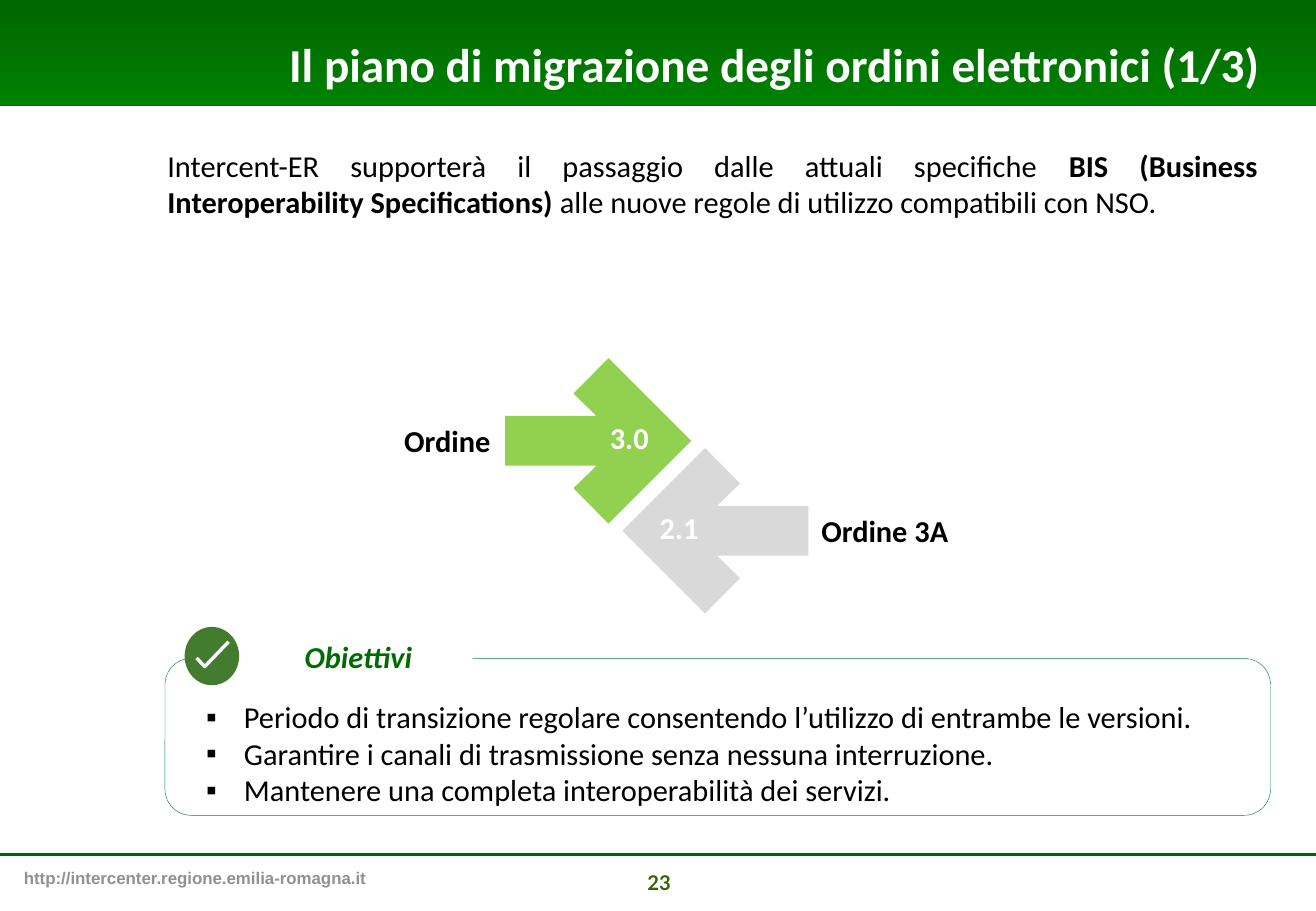
from dataclasses import dataclass

from lxml import etree
from pptx import Presentation
from pptx.dml.color import RGBColor
from pptx.enum.shapes import MSO_CONNECTOR, MSO_SHAPE
from pptx.enum.text import PP_ALIGN
from pptx.oxml.ns import qn
from pptx.util import Cm, Pt

LEFT, CENTER, RIGHT, JUSTIFY = PP_ALIGN.LEFT, PP_ALIGN.CENTER, PP_ALIGN.RIGHT, PP_ALIGN.JUSTIFY
RECTANGLE, ROUNDED, OVAL = MSO_SHAPE.RECTANGLE, MSO_SHAPE.ROUNDED_RECTANGLE, MSO_SHAPE.OVAL
STRAIGHT = MSO_CONNECTOR.STRAIGHT


@dataclass(frozen=True)
class Theme:
    font: str = "Calibri"
    footer_font: str = "Arial"
    number_font: str = "Lato"
    title_size: float = 28
    body_size: float = 18
    number_size: float = 12
    footer_size: float = 10
    white: str = "FFFFFF"
    black: str = "000000"
    dark_green: str = "006600"
    band_green: str = "008000"
    number_green: str = "336600"
    heading_green: str = "006B00"
    badge_green: str = "437B2F"
    frame_green: str = "027E46"
    lime: str = "92D050"
    silver: str = "D9D9D9"
    gray: str = "919191"


THEME = Theme()

# Content (lengths in centimetres)
PAGE_WIDTH, PAGE_HEIGHT = 27.51, 19.05
TITLE = "Il piano di migrazione degli ordini elettronici (1/3)"
INTRO = [
    ("Intercent-ER supporterà il passaggio dalle attuali specifiche ", False),
    ("BIS (Business Interoperability Specifications)", True),
    (" alle nuove regole di utilizzo compatibili con NSO.", False),
]
HEADING = "Obiettivi"
GOALS = [
    "Periodo di transizione regolare consentendo l’utilizzo di entrambe le versioni.",
    "Garantire i canali di trasmissione senza nessuna interruzione.",
    "Mantenere una completa interoperabilità dei servizi.",
]
FOOTER = "http://intercenter.regione.emilia-romagna.it"
PAGE_NUMBER = "23"

# Arrows: tip, pointing direction, colour
ARROWS = [((14.45, 9.22), 1, THEME.lime), ((13.01, 11.1), -1, THEME.silver)]
# Upper half of an arrow, as distances behind the tip and from its axis
HALF_ARROW = [(1.73, 1.73), (2.46, 0.99), (1.98, 0.52), (3.89, 0.52)]
ARROW_LABELS = [
    ("2.1", (13.54, 10.52, 1.42, 1.02), THEME.white),
    ("Ordine", (8.2, 8.71, 2.84, 1.02), THEME.black),
    ("3.0", (12.5, 8.64, 1.63, 1.02), THEME.white),
    ("Ordine 3A", (16.92, 10.59, 5.61, 1.02), THEME.black),
]
CHECK_MARK = [(4.11, 13.76), (4.28, 13.94), (4.78, 13.42)]

deck = Presentation()
deck.slide_width, deck.slide_height = Cm(PAGE_WIDTH), Cm(PAGE_HEIGHT)
page = deck.slides.add_slide(deck.slide_layouts[6])


def color(code):
    return RGBColor.from_string(code)


def paint(shape, fill=None, line=None, width=0.75):
    shape.shadow.inherit = False
    if fill:
        shape.fill.solid()
        shape.fill.fore_color.rgb = color(fill)
    else:
        shape.fill.background()
    if line:
        shape.line.color.rgb = color(line)
        shape.line.width = Pt(width)
    else:
        shape.line.fill.background()
    return shape


def add_block(kind, bounds, **style):
    return paint(page.shapes.add_shape(kind, *map(Cm, bounds)), **style)


def add_outline(points, closed, **style):
    corners = [(Cm(x), Cm(y)) for x, y in points]
    builder = page.shapes.build_freeform(*corners[0])
    builder.add_line_segments(corners[1:], close=closed)
    return paint(builder.convert_to_shape(), **style)


def add_span(para, text, ink=THEME.black, size=THEME.body_size, font=THEME.font,
             bold=False, italic=False):
    span = para.add_run()
    span.text = text
    span.font.name, span.font.size = font, Pt(size)
    span.font.bold, span.font.italic = bold, italic
    span.font.color.rgb = color(ink)


def add_box(bounds, align=LEFT):
    box = page.shapes.add_textbox(*map(Cm, bounds))
    box.text_frame.word_wrap = True
    box.text_frame.paragraphs[0].alignment = align
    return box.text_frame


def add_text(text, bounds, align=LEFT, **style):
    add_span(add_box(bounds, align).paragraphs[0], text, **style)


def add_bullet(para, margin, hanging):
    properties = para._p.get_or_add_pPr()
    properties.set("marL", str(Cm(margin)))
    properties.set("indent", str(-Cm(hanging)))
    etree.SubElement(properties, qn("a:buFont")).set("typeface", THEME.footer_font)
    etree.SubElement(properties, qn("a:buChar")).set("char", "▪")


# Title band
band = add_block(RECTANGLE, (0, 0, PAGE_WIDTH, 2.21), fill=THEME.dark_green)
band.fill.gradient()
band.fill.gradient_angle = 270
for stop, position, shade in zip(band.fill.gradient_stops, (0, 1),
                                 (THEME.dark_green, THEME.band_green)):
    stop.position = position
    stop.color.rgb = color(shade)
add_text(TITLE, (2.92, 0.61, 23.65, 1.45), RIGHT,
         ink=THEME.white, size=THEME.title_size, bold=True)

# Footer
rule = page.shapes.add_connector(STRAIGHT, 0, Cm(17.86), Cm(PAGE_WIDTH), Cm(17.86))
rule.line.color.rgb = color(THEME.dark_green)
rule.line.width = Pt(1.75)
etree.SubElement(rule._element.spPr, qn("a:effectLst"))
add_text(FOOTER, (0.25, 18.01, 9.68, 0.69),
         ink=THEME.gray, size=THEME.footer_size, font=THEME.footer_font, bold=True)
add_text(PAGE_NUMBER, (10.92, 18.08, 5.72, 0.69), CENTER,
         ink=THEME.number_green, size=THEME.number_size, font=THEME.number_font, bold=True)

# Introduction
intro_para = add_box((3.25, 2.95, 23.29, 1.8), JUSTIFY).paragraphs[0]
for text, bold in INTRO:
    add_span(intro_para, text, bold=bold)

# Facing arrows and their labels
for (tip_x, tip_y), direction, shade in ARROWS:
    upper = [(tip_x - direction * back, tip_y - side) for back, side in HALF_ARROW]
    lower = [(x, 2 * tip_y - y) for x, y in reversed(upper)]
    add_outline([(tip_x, tip_y)] + upper + lower, True, fill=shade)
for text, bounds, ink in ARROW_LABELS:
    add_text(text, bounds, JUSTIFY, ink=ink, bold=True)

# Goals frame, heading and check badge
add_block(ROUNDED, (3.45, 13.77, 23.11, 3.28), line=THEME.frame_green, width=0.25)
add_block(RECTANGLE, (5, 13.49, 4.88, 0.94), fill=THEME.white)
add_text(HEADING, (6.12, 13.23, 3.4, 1.02), ink=THEME.heading_green, bold=True, italic=True)
add_block(OVAL, (3.86, 13.11, 1.14, 1.22), fill=THEME.badge_green)
add_outline(CHECK_MARK, False, line=THEME.white, width=2)

# Goals list
goals_frame = add_box((3.1, 14.48, 23.62, 2.57))
for index, goal in enumerate(GOALS):
    para = goals_frame.add_paragraph() if index else goals_frame.paragraphs[0]
    add_bullet(para, 1.75, 0.79)
    add_span(para, goal)

deck.save("out.pptx")
